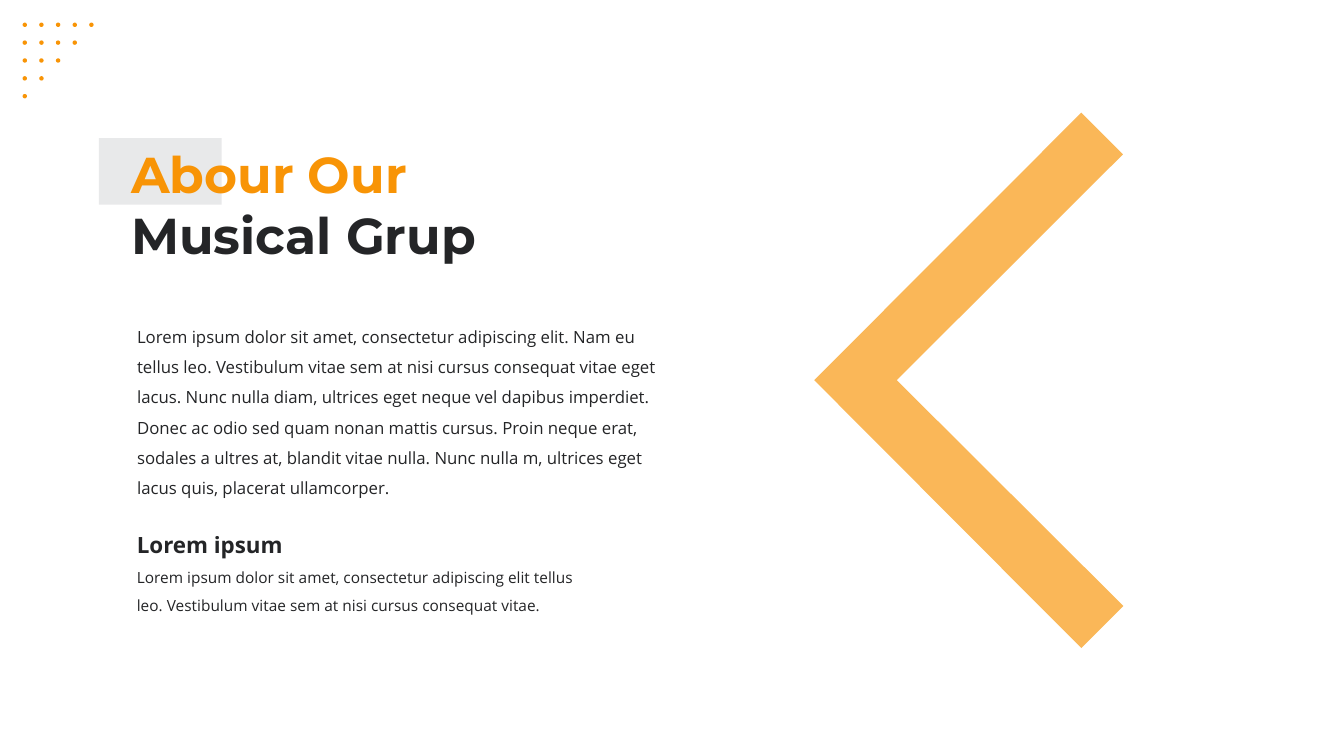
from dataclasses import dataclass

from lxml import etree
from pptx import Presentation
from pptx.dml.color import RGBColor
from pptx.enum.shapes import MSO_SHAPE
from pptx.enum.text import MSO_ANCHOR, MSO_AUTO_SIZE, PP_ALIGN
from pptx.oxml.ns import qn
from pptx.shapes.base import BaseShape
from pptx.slide import Slide
from pptx.util import Cm, Pt

OVAL, RECTANGLE = MSO_SHAPE.OVAL, MSO_SHAPE.RECTANGLE
TOP, NO_FIT, LEFT = MSO_ANCHOR.TOP, MSO_AUTO_SIZE.NONE, PP_ALIGN.LEFT

COLOURS = {"orange": "F89406", "dark": "242527", "grey": "E8E9EA"}
FRAME_FORMAT = {"word_wrap": True, "auto_size": NO_FIT, "vertical_anchor": TOP}

DOT_ROWS = 5
DOT_SIZE = 0.11
DOT_START = 0.57
DOT_STEP_X, DOT_STEP_Y = 0.42, 0.45

CHEVRON_POINTS = [(27.25, 2.84), (28.3, 3.89), (22.6, 9.58),
                  (28.31, 15.27), (27.25, 16.33), (20.52, 9.58)]
CHEVRON_OPACITY = 67


@dataclass(frozen=True)
class Area:
    left: float
    top: float
    width: float
    height: float

    def lengths(self) -> tuple[Cm, Cm, Cm, Cm]:
        return Cm(self.left), Cm(self.top), Cm(self.width), Cm(self.height)


@dataclass(frozen=True)
class Line:
    text: str
    font: str
    size: int
    colour: str = "dark"
    bold: bool = False
    spacing: float = 1.5


TITLE_AREA = Area(3.05, 3.48, 10.87, 3.33)
TITLE_LINES = [
    Line("Abour Our", "Montserrat", 36, "orange", True, 1.0),
    Line("Musical Grup", "Montserrat", 36, "dark", True, 1.0),
]
BODY_AREA = Area(3.2, 7.85, 13.89, 4.88)
BODY_LINE = Line(
    "Lorem ipsum dolor sit amet, consectetur adipiscing elit. Nam eu tellus leo. "
    "Vestibulum vitae sem at nisi cursus consequat vitae eget lacus. Nunc nulla diam, "
    "ultrices eget neque vel dapibus imperdiet. Donec ac odio sed quam nonan mattis "
    "cursus. Proin neque erat, sodales a ultres at, blandit vitae nulla. Nunc nulla m, "
    "ultrices eget lacus quis, placerat ullamcorper.", "Open Sans", 12)
HEADING_AREA = Area(3.2, 12.93, 12.09, 1.17)
HEADING_LINE = Line("Lorem ipsum", "Open Sans", 16, bold=True)
DETAIL_AREA = Area(3.2, 13.97, 12.09, 1.68)
DETAIL_LINE = Line(
    "Lorem ipsum dolor sit amet, consectetur adipiscing elit tellus leo. "
    "Vestibulum vitae sem at nisi cursus consequat vitae.", "Open Sans", 11)
TITLE_ACCENT = Area(2.49, 3.48, 3.1, 1.68)


def paint(shape: BaseShape, colour: str) -> None:
    shape.shadow.inherit = False
    shape.fill.solid()
    shape.fill.fore_color.rgb = RGBColor.from_string(COLOURS[colour])
    shape.line.fill.background()


def add_plain_shape(page: Slide, kind: MSO_SHAPE, area: Area, colour: str) -> BaseShape:
    shape = page.shapes.add_shape(kind, *area.lengths())
    paint(shape, colour)
    return shape


def write_lines(box: BaseShape, area: Area, lines: list[Line]) -> None:
    """Place a text box or placeholder and fill it with unbulleted paragraphs."""
    box.left, box.top, box.width, box.height = area.lengths()
    frame = box.text_frame
    for name, value in FRAME_FORMAT.items():
        setattr(frame, name, value)
    for index, line in enumerate(lines):
        para = frame.add_paragraph() if index else frame.paragraphs[0]
        para_format = {"alignment": LEFT, "line_spacing": line.spacing,
                       "space_before": Pt(0)}
        for name, value in para_format.items():
            setattr(para, name, value)
        properties = para._p.get_or_add_pPr()
        properties.set("marL", "0")
        properties.set("indent", "0")
        etree.SubElement(properties, qn("a:buNone"))
        span = para.add_run()
        span.text = line.text
        span_format = {"name": line.font, "size": Pt(line.size), "bold": line.bold}
        for name, value in span_format.items():
            setattr(span.font, name, value)
        span.font.color.rgb = RGBColor.from_string(COLOURS[line.colour])


def add_dot_triangle(page: Slide) -> None:
    for row in range(DOT_ROWS):
        for column in range(DOT_ROWS - row):
            area = Area(DOT_START + column * DOT_STEP_X,
                        DOT_START + row * DOT_STEP_Y, DOT_SIZE, DOT_SIZE)
            add_plain_shape(page, OVAL, area, "orange")


def add_chevron(page: Slide) -> None:
    start, *others = [(Cm(x), Cm(y)) for x, y in CHEVRON_POINTS]
    builder = page.shapes.build_freeform(*start)
    builder.add_line_segments(others, close=True)
    chevron = builder.convert_to_shape()
    paint(chevron, "orange")
    colour = chevron._element.spPr.find(qn("a:solidFill"))[0]
    etree.SubElement(colour, qn("a:alpha"), val=str(CHEVRON_OPACITY * 1000))


def main() -> None:
    deck = Presentation()
    deck.slide_width, deck.slide_height = Cm(33.87), Cm(19.05)
    page = deck.slides.add_slide(deck.slide_layouts[1])

    accent = add_plain_shape(page, RECTANGLE, TITLE_ACCENT, "grey")
    page.shapes.title._element.addprevious(accent._element)
    write_lines(page.shapes.title, TITLE_AREA, TITLE_LINES)
    write_lines(page.placeholders[1], BODY_AREA, [BODY_LINE])
    for area, line in [(HEADING_AREA, HEADING_LINE), (DETAIL_AREA, DETAIL_LINE)]:
        write_lines(page.shapes.add_textbox(*area.lengths()), area, [line])

    add_dot_triangle(page)
    add_chevron(page)
    deck.save("out.pptx")


if __name__ == "__main__":
    main()
